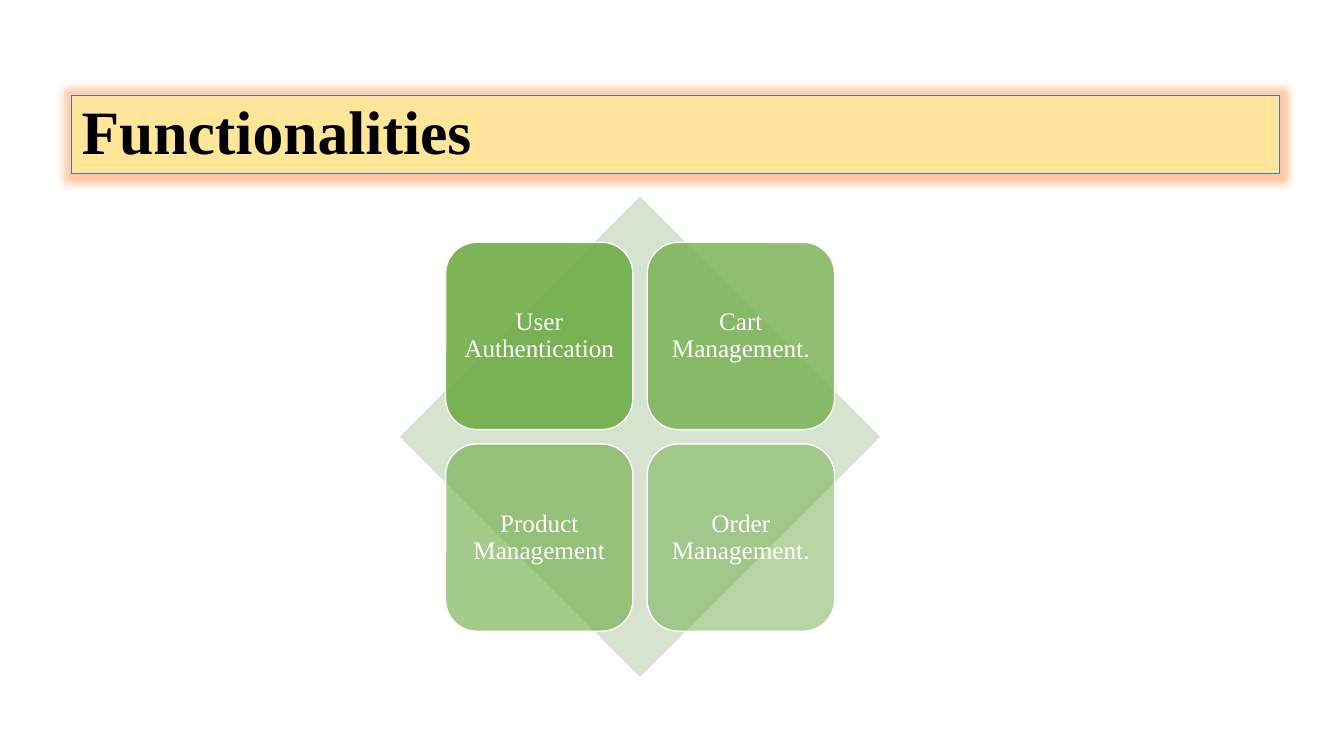
from dataclasses import dataclass

from lxml import etree
from pptx import Presentation
from pptx.dml.color import RGBColor
from pptx.enum.shapes import MSO_SHAPE
from pptx.enum.text import MSO_ANCHOR, MSO_AUTO_SIZE, PP_ALIGN
from pptx.oxml.ns import qn
from pptx.util import Pt

DIAMOND = MSO_SHAPE.DIAMOND
ROUNDED = MSO_SHAPE.ROUNDED_RECTANGLE
MIDDLE = MSO_ANCHOR.MIDDLE
NO_AUTOFIT = MSO_AUTO_SIZE.NONE
LEFT, CENTER = PP_ALIGN.LEFT, PP_ALIGN.CENTER
TITLE_ONLY = 5


@dataclass(frozen=True)
class Theme:
    font: str = "Times New Roman"
    stop_font: str = "Calibri"
    title_size: int = 44
    tile_size: int = 18
    title_text: str = "000000"
    title_fill: str = "FFE699"
    title_line: str = "4472C4"
    title_glow: str = "FF7819"
    diamond: str = "D5E3CF"
    tile: str = "70AD47"
    white: str = "FFFFFF"


class FunctionalitiesSlide:
    def __init__(self, slide, theme):
        self.slide = slide
        self.theme = theme

    def paint(self, shape, fill, line=None, width=1):
        shape.fill.solid()
        shape.fill.fore_color.rgb = RGBColor.from_string(fill)
        if line:
            shape.line.color.rgb = RGBColor.from_string(line)
            shape.line.width = Pt(width)
        else:
            shape.line.fill.background()

    def add_alpha(self, color, percent):
        etree.SubElement(color, qn("a:alpha"), val=str(percent * 1000))

    def set_text(self, shape, text, size, color, align, bold=False):
        frame = shape.text_frame
        frame.text = text
        frame.word_wrap = True
        frame.auto_size = NO_AUTOFIT
        frame.vertical_anchor = MIDDLE
        paragraph = frame.paragraphs[0]
        paragraph.alignment = align
        paragraph.line_spacing = 0.9
        self.style_run(paragraph.runs[0], self.theme.font, size, color, bold)
        return paragraph

    def style_run(self, run, font, size, color, bold=False):
        run.font.name = font
        run.font.size = Pt(size)
        run.font.bold = bold
        run.font.color.rgb = RGBColor.from_string(color)

    def title(self, text, left, top, width, height):
        theme = self.theme
        heading = self.slide.shapes.title
        heading.left, heading.top = Pt(left), Pt(top)
        heading.width, heading.height = Pt(width), Pt(height)
        self.paint(heading, theme.title_fill, theme.title_line, 0.75)
        effects = etree.SubElement(heading._element.spPr, qn("a:effectLst"))
        glow = etree.SubElement(effects, qn("a:glow"), rad=str(Pt(11)))
        color = etree.SubElement(glow, qn("a:srgbClr"), val=theme.title_glow)
        self.add_alpha(color, 40)
        self.set_text(heading, text, theme.title_size, theme.title_text, LEFT, True)

    def square(self, kind, center_x, center_y, side):
        shape = self.slide.shapes.add_shape(
            kind, Pt(center_x - side / 2), Pt(center_y - side / 2), Pt(side), Pt(side))
        shape.shadow.inherit = False
        return shape

    def diamond(self, center_x, center_y, side):
        self.paint(self.square(DIAMOND, center_x, center_y, side), self.theme.diamond)

    def tile(self, label, stop, opacity, center_x, center_y, side):
        theme = self.theme
        tile = self.square(ROUNDED, center_x, center_y, side)
        self.paint(tile, theme.tile, theme.white)
        self.add_alpha(tile._element.spPr.find(qn("a:solidFill"))[0], opacity)
        frame = tile.text_frame
        frame.margin_left = frame.margin_right = Pt(5)
        frame.margin_top = frame.margin_bottom = Pt(5)
        paragraph = self.set_text(tile, label, theme.tile_size, theme.white, CENTER)
        if stop:
            ending = paragraph.add_run()
            ending.text = stop
            self.style_run(ending, theme.stop_font, theme.tile_size, theme.white)


def main():
    presentation = Presentation()
    presentation.slide_width, presentation.slide_height = Pt(960), Pt(540)
    layout = presentation.slide_layouts[TITLE_ONLY]
    page = FunctionalitiesSlide(presentation.slides.add_slide(layout), Theme())

    page.title("Functionalities", 51.1, 68.4, 862.6, 55.4)

    center_x, center_y, pitch, tile_side = 457.2, 312, 144, 133.8
    page.diamond(center_x, center_y, 343)
    functions = [
        ("User Authentication", "", 90),
        ("Cart Management.", "", 77),
        ("Product Management", "", 63),
        ("Order Management", ".", 50),
    ]
    for index, (label, stop, opacity) in enumerate(functions):
        row, column = divmod(index, 2)
        page.tile(label, stop, opacity, center_x + (column - 0.5) * pitch,
                  center_y + (row - 0.5) * pitch, tile_side)

    presentation.save("out.pptx")


if __name__ == "__main__":
    main()
